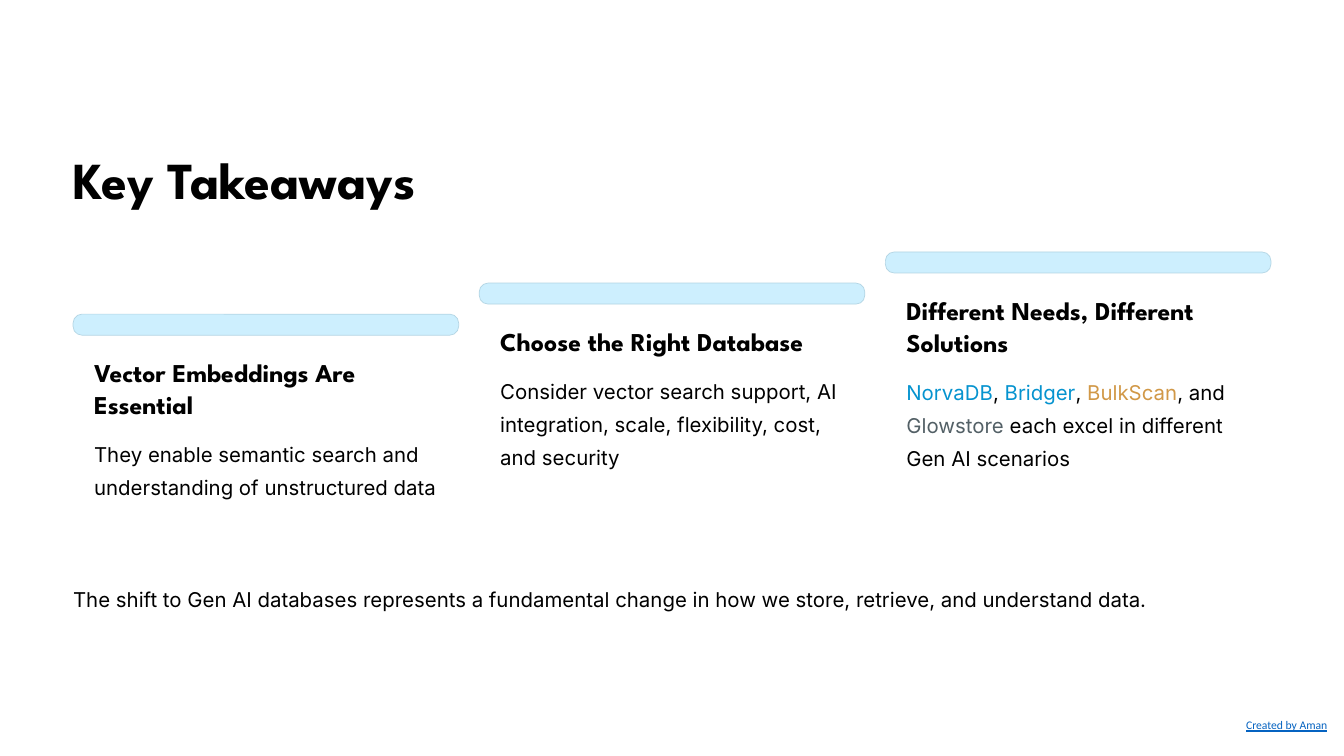
from pptx import Presentation
from pptx.dml.color import RGBColor
from pptx.enum.shapes import MSO_SHAPE
from pptx.enum.text import PP_ALIGN
from pptx.util import Inches, Pt

ROUNDED = MSO_SHAPE.ROUNDED_RECTANGLE
LEFT, RIGHT = PP_ALIGN.LEFT, PP_ALIGN.RIGHT

BLACK, SKY, AMBER, SLATE = "000000", "0593CF", "D19847", "536066"
BAR_FILL, BAR_LINE, CREDIT = "CDEFFE", "B3D5E4", "0563C1"
HEADING_FONT, BODY_FONT = "League Spartan", "Inter"

MARGIN, CONTENT_W = 0.87, 14.26
CARD_W, CARD_GAP = 4.59, 0.245
FIRST_BAR_TOP, STEP_UP = 3.74, 0.37
HEADING_LINE = 0.38

# heading, heading lines, body as (text, colour) runs
CARDS = [
    ("Vector Embeddings Are Essential", 2,
     [("They enable semantic search and understanding of unstructured data", BLACK)]),
    ("Choose the Right Database", 1,
     [("Consider vector search support, AI integration, scale, flexibility, cost, "
       "and security", BLACK)]),
    ("Different Needs, Different Solutions", 2,
     [("NorvaDB", SKY), (", ", BLACK), ("Bridger", SKY), (", ", BLACK),
      ("BulkScan", AMBER), (", and ", BLACK), ("Glowstore", SLATE),
      (" each excel in different Gen AI scenarios", BLACK)]),
]


def rgb(value):
    return RGBColor.from_string(value)


def add_text(s, x, y, w, h, runs, font, size, spacing=None, bold=False,
             underline=False, wrap=True, align=LEFT, inset=(0, 0)):
    tf = s.shapes.add_textbox(Inches(x), Inches(y), Inches(w), Inches(h)).text_frame
    tf.word_wrap = wrap
    tf.margin_left = tf.margin_right = Inches(inset[0])
    tf.margin_top = tf.margin_bottom = Inches(inset[1])
    p = tf.paragraphs[0]
    p.alignment = align
    if spacing:
        p.line_spacing = Pt(spacing)
    for text, color in runs:
        r = p.add_run()
        r.text = text
        r.font.name, r.font.size = font, Pt(size)
        r.font.bold, r.font.underline = bold, underline
        r.font.color.rgb = rgb(color)


def add_title(s, x, y, w, h):
    add_text(s, x, y, w, h, [("Key Takeaways", BLACK)], HEADING_FONT, 44.5, 55.5,
             bold=True, wrap=False)


def add_card(s, x, y, w, heading, lines, body):
    # Bar on top
    bar = s.shapes.add_shape(ROUNDED, Inches(x), Inches(y), Inches(w), Inches(0.25))
    bar.adjustments[0] = 0.42
    bar.shadow.inherit = False
    bar.fill.solid()
    bar.fill.fore_color.rgb = rgb(BAR_FILL)
    bar.line.color.rgb = rgb(BAR_LINE)
    bar.line.width = Pt(0.6)

    # Heading, then body below its last line
    text_x, text_w, text_y = x + 0.25, w - 0.5, y + 0.495
    heading_h = HEADING_LINE * lines
    add_text(s, text_x, text_y, text_w, heading_h, [(heading, BLACK)],
             HEADING_FONT, 22, 27.5, bold=True)
    add_text(s, text_x, text_y + heading_h + 0.16, text_w, 1.19, body,
             BODY_FONT, 17.5, 28.5)


def add_staircase(s, x, y, w):
    for i, card in enumerate(CARDS):
        add_card(s, x + i * (w + CARD_GAP), y - i * STEP_UP, w, *card)


def add_closing(s, x, y, w, h):
    text = ("The shift to Gen AI databases represents a fundamental change in how we "
            "store, retrieve, and understand data.")
    add_text(s, x, y, w, h, [(text, BLACK)], BODY_FONT, 17.5, 28.5, wrap=False)


def add_credit(s, x, y, w, h):
    add_text(s, x, y, w, h, [("Created by Aman", CREDIT)], "Calibri", 10,
             underline=True, wrap=False, align=RIGHT, inset=(0.1, 0.05))


def main():
    prs = Presentation()
    prs.slide_width, prs.slide_height = Inches(16), Inches(9)
    s = prs.slides.add_slide(prs.slide_layouts[6])
    add_title(s, MARGIN, 1.73, 6.2, 0.78)
    add_staircase(s, MARGIN, FIRST_BAR_TOP, CARD_W)
    add_closing(s, MARGIN, 6.88, CONTENT_W, 0.4)
    add_credit(s, 13.4, 8.5, 2.5, 0.4)
    prs.save("out.pptx")


if __name__ == "__main__":
    main()
